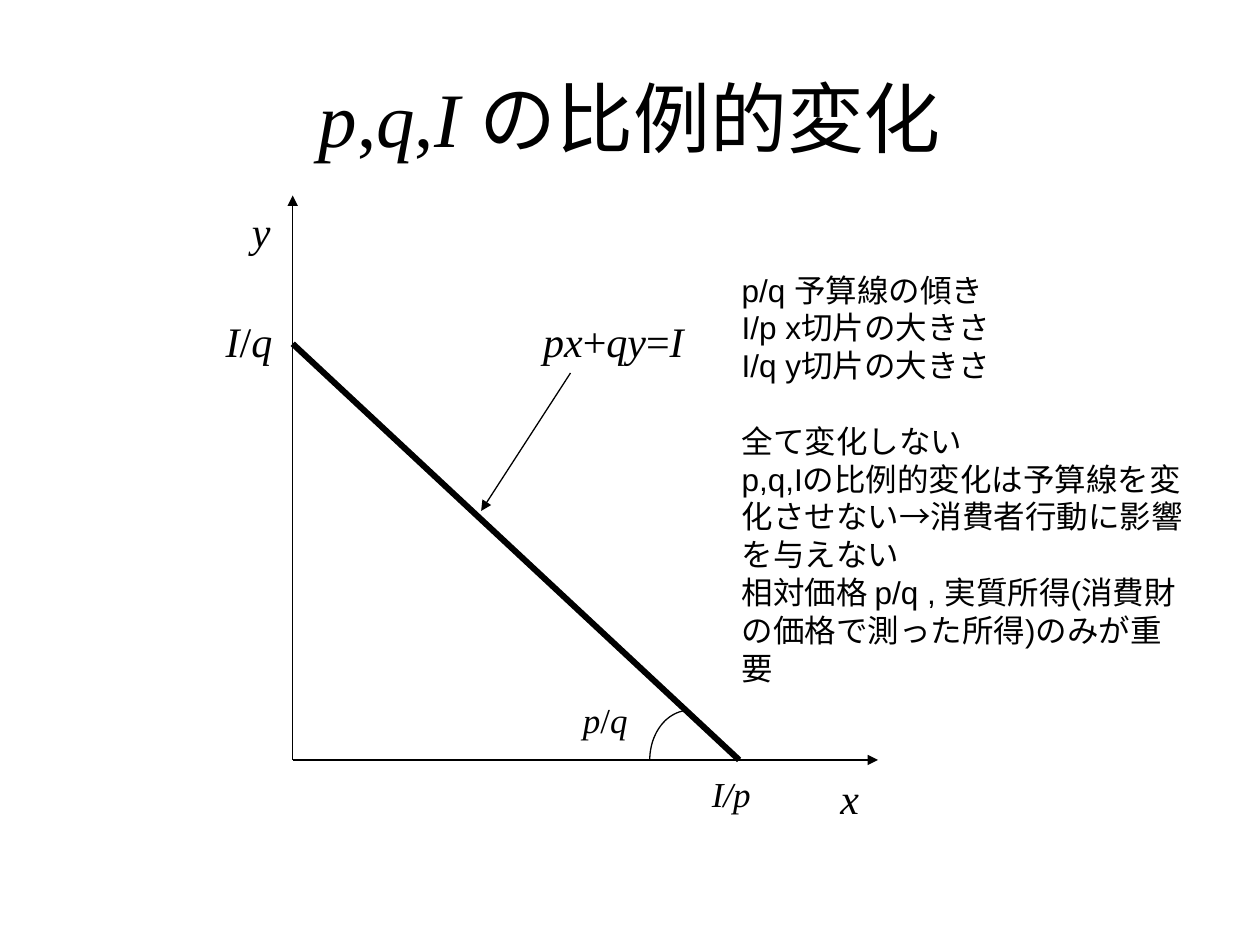
from itertools import groupby
from math import cos, pi, sin

from pptx import Presentation
from pptx.dml.color import RGBColor
from pptx.enum.shapes import MSO_CONNECTOR as Conn
from pptx.enum.text import MSO_ANCHOR as Anchor, PP_ALIGN as Align
from pptx.oxml.ns import qn
from pptx.util import Cm, Pt
from lxml.etree import SubElement

BLACK = RGBColor(0, 0, 0)
SERIF, SANS, TITLE_FONT = "Times New Roman", "Arial", "Calibri"
OPERATORS = "+=/,"


def add_run(p, text, size=24, font=SERIF, italic=False, color=BLACK):
    r = p.add_run()
    r.text = text
    r.font.size = Pt(size)
    r.font.name = font
    r.font.italic = italic
    r.font.color.rgb = color


def add_formula(p, text, size=24):
    for upright, chars in groupby(text, key=lambda c: c in OPERATORS):
        add_run(p, "".join(chars), size=size, italic=not upright)


class Slide:
    def __init__(self, prs, color=BLACK, thin=0.75):
        self.s = prs.slides.add_slide(prs.slide_layouts[5])
        self.color = color
        self.thin = thin

    def title(self, formula, text, x, y, w, h, size=44):
        sp = self.s.shapes.title
        sp.left, sp.top, sp.width, sp.height = Cm(x), Cm(y), Cm(w), Cm(h)
        tf = sp.text_frame
        tf.vertical_anchor = Anchor.MIDDLE
        p = tf.paragraphs[0]
        p.alignment = Align.CENTER
        add_formula(p, formula, size)
        add_run(p, text, size=size, font=TITLE_FONT)

    def box(self, x, y, w, h):
        tf = self.s.shapes.add_textbox(Cm(x), Cm(y), Cm(w), Cm(h)).text_frame
        tf.word_wrap = True
        return tf

    def label(self, text, x, y, w, size=24, slanted=False):
        p = self.box(x, y, w, 1.27).paragraphs[0]
        if slanted:
            add_run(p, text, size=size, italic=True)
        else:
            add_formula(p, text, size)

    def notes(self, groups, x, y, w, h, size=18, gap=21.6):
        tf = self.box(x, y, w, h)
        p = tf.paragraphs[0]
        for i, group in enumerate(groups):
            for j, text in enumerate(group):
                if i or j:
                    p = tf.add_paragraph()
                if i and not j:
                    p.space_before = Pt(gap)
                add_run(p, text, size=size, font=SANS)

    def line(self, start, end, width=None, arrow=False):
        points = [Cm(v) for v in (*start, *end)]
        sp = self.s.shapes.add_connector(Conn.STRAIGHT, *points)
        sp.line.color.rgb = self.color
        sp.line.width = Pt(width or self.thin)
        if arrow:
            SubElement(sp.line._get_or_add_ln(), qn("a:tailEnd"), type="triangle")
        SubElement(sp._element.spPr, qn("a:effectLst"))

    def angle(self, cx, cy, rx, ry, steps=24):
        turns = [pi / 2 * i / steps for i in range(steps + 1)]
        points = [(Cm(cx - rx * cos(t)), Cm(cy - ry * sin(t))) for t in turns]
        fb = self.s.shapes.build_freeform(*points[0])
        fb.add_line_segments(points[1:], close=False)
        sp = fb.convert_to_shape()
        sp.fill.background()
        sp.line.color.rgb = self.color
        sp.line.width = Pt(self.thin)
        sp.shadow.inherit = False


prs = Presentation()
prs.slide_width, prs.slide_height = Cm(25.4), Cm(19.05)
slide = Slide(prs)

slide.title("p,q,I ", "の比例的変化", 1.27, 0.76, 22.86, 3.18)

left, base = 5.9, 15.32
y_cut, x_cut = (left, 6.93), (14.9, base)
slide.line((left, base), (left, 3.94), arrow=True)
slide.line((left, base), (17.7, base), arrow=True)
slide.line(y_cut, x_cut, width=3.5)
slide.line((11.5, 7.52), (9.7, 10.3), arrow=True)
slide.angle(13.9, base, 0.8, 1)

slide.label("x", 16.69, 15.44, 1)
slide.label("y", 4.83, 4.02, 0.8)
slide.label("px+qy=I", 10.7, 6.24, 3.6)
slide.label("I/q", 4.3, 6.24, 1.6)
slide.label("p/q", 11.5, 13.95, 1.6, size=20)
slide.label("I/p", 14.1, 15.44, 2, size=20, slanted=True)

slide.notes(
    [
        ["p/q 予算線の傾き", "I/p x切片の大きさ", "I/q y切片の大きさ"],
        [
            "全て変化しない",
            "p,q,Iの比例的変化は予算線を変化させない→消費者行動に影響を与えない",
            "相対価格 p/q , 実質所得(消費財の価格で測った所得)のみが重要",
        ],
    ],
    14.7, 5.33, 9.4, 8.7,
)

prs.save("out.pptx")
